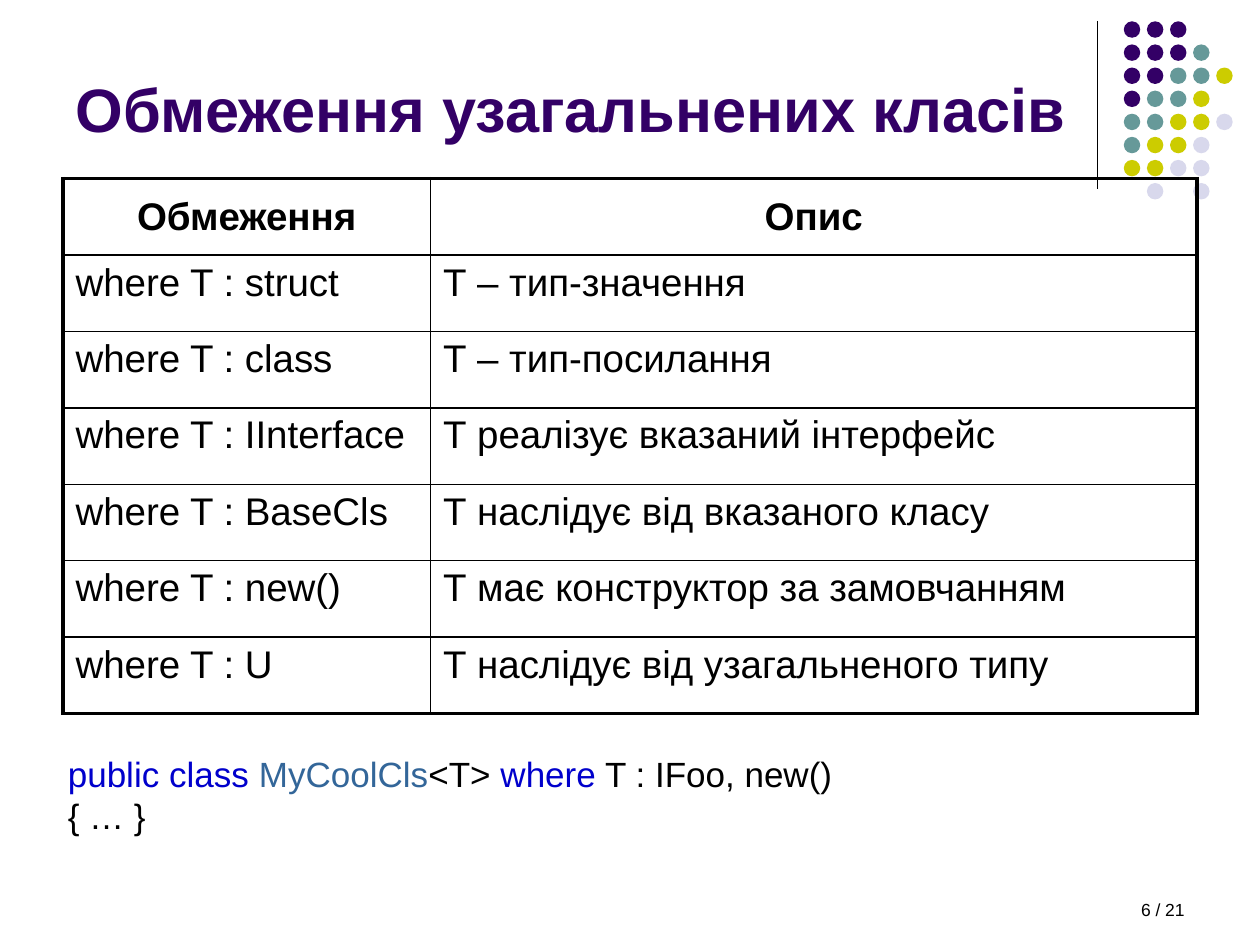
"""Builds a slide on generic class constraints with a table and a code sample."""
from dataclasses import dataclass

import pptx
import pptx.dml.color
import pptx.enum.shapes
import pptx.enum.text
import pptx.oxml
import pptx.oxml.ns
import pptx.util
from lxml import etree

Pt = pptx.util.Pt
RGBColor = pptx.dml.color.RGBColor
Align = pptx.enum.text.PP_ALIGN
Anchor = pptx.enum.text.MSO_ANCHOR

BLACK = RGBColor(0x00, 0x00, 0x00)
PURPLE = RGBColor(0x33, 0x00, 0x66)
TEAL = RGBColor(0x66, 0x99, 0x99)
OLIVE = RGBColor(0xCC, 0xCC, 0x00)
LAVENDER = RGBColor(0xD8, 0xD8, 0xEC)
KEYWORD_BLUE = RGBColor(0x00, 0x00, 0xCC)
TYPE_BLUE = RGBColor(0x33, 0x66, 0x99)

FONT = "Arial"
THICK, THIN = 2.25, 1
DOT_COLORS = {"P": PURPLE, "T": TEAL, "O": OLIVE, "L": LAVENDER}
DOT_ROWS = ("PPP", "PPPT", "PPTTO", "PTTO", "TTOOL", "TOOL", "OOLL", ".L.L")
DOT_LEFT, DOT_TOP, DOT_SIZE, DOT_PITCH = 642.2, 12.2, 9.4, 13.2

CONSTRAINTS = (
    ("Обмеження", "Опис"),
    ("where T : struct", "Т – тип-значення"),
    ("where T : class", "Т – тип-посилання"),
    ("where T : IInterface", "Т реалізує вказаний інтерфейс"),
    ("where T : BaseCls", "Т наслідує від вказаного класу"),
    ("where T : new()", "Т має конструктор за замовчанням"),
    ("where T : U", "Т наслідує від узагальненого типу"),
)
COLUMN_WIDTHS = (210, 438)
ROW_HEIGHT = 43.7


@dataclass(frozen=True)
class Span:
    """A coloured piece of text, optionally starting a new line."""

    text: str
    color: RGBColor = BLACK
    new_line: bool = False


@dataclass(frozen=True)
class TextBlock:
    """A one-paragraph text box."""

    left: float
    top: float
    width: float
    height: float
    size: float
    spans: tuple[Span, ...]
    bold: bool = False
    align: Align = Align.LEFT
    anchor: Anchor = Anchor.TOP


TEXT_BLOCKS = (
    TextBlock(36, 24, 594, 62.4, 35, (Span("Обмеження узагальнених класів", PURPLE),),
              bold=True, anchor=Anchor.BOTTOM),
    TextBlock(31.7, 426.5, 652.3, 55.4, 20, (
        Span("public class ", KEYWORD_BLUE),
        Span("MyCoolCls", TYPE_BLUE),
        Span("<T> "),
        Span("where", KEYWORD_BLUE),
        Span(" T : IFoo, new()"),
        Span("{ … }", new_line=True),
    )),
    TextBlock(516, 510, 168, 18, 10, (Span("6 / 21"),), align=Align.RIGHT),
)


def draw_divider(page: pptx.slide.Slide) -> None:
    """Draw the vertical line beside the dots."""
    line = page.shapes.add_connector(
        pptx.enum.shapes.MSO_CONNECTOR.STRAIGHT, Pt(627), Pt(12), Pt(627), Pt(108))
    line.line.color.rgb = BLACK
    line.line.width = Pt(0.75)
    etree.SubElement(line._element.spPr, pptx.oxml.ns.qn("a:effectLst"))


def draw_dots(page: pptx.slide.Slide) -> None:
    """Draw the dot pattern in the top right corner."""
    for row, codes in enumerate(DOT_ROWS):
        for column, code in enumerate(codes):
            if code not in DOT_COLORS:
                continue
            dot = page.shapes.add_shape(
                pptx.enum.shapes.MSO_SHAPE.OVAL,
                Pt(DOT_LEFT + column * DOT_PITCH), Pt(DOT_TOP + row * DOT_PITCH),
                Pt(DOT_SIZE), Pt(DOT_SIZE))
            dot.shadow.inherit = False
            dot.fill.solid()
            dot.fill.fore_color.rgb = DOT_COLORS[code]
            dot.line.fill.background()


def draw_text(page: pptx.slide.Slide, block: TextBlock) -> None:
    """Draw one text box."""
    box = page.shapes.add_textbox(
        Pt(block.left), Pt(block.top), Pt(block.width), Pt(block.height))
    frame = box.text_frame
    frame.word_wrap = True
    frame.vertical_anchor = block.anchor
    para = frame.paragraphs[0]
    para.alignment = block.align
    para.font.name = FONT
    para.font.size = Pt(block.size)
    para.font.bold = block.bold
    for span in block.spans:
        if span.new_line:
            para.add_line_break()
        run = para.add_run()
        run.text = span.text
        run.font.color.rgb = span.color


def set_borders(cell: pptx.table._Cell, widths: dict[str, float]) -> None:
    """Give a cell black borders, placed ahead of its fill."""
    properties = cell._tc.get_or_add_tcPr()
    for index, (side, width) in enumerate(widths.items()):
        border = pptx.oxml.parse_xml(
            f'<a:ln{side} {pptx.oxml.ns.nsdecls("a")} w="{Pt(width)}">'
            f'<a:solidFill><a:srgbClr val="{BLACK}"/></a:solidFill></a:ln{side}>')
        properties.insert(index, border)


def draw_table(page: pptx.slide.Slide) -> None:
    """Draw the constraints table with a thick outer frame."""
    last_row, last_column = len(CONSTRAINTS) - 1, len(COLUMN_WIDTHS) - 1
    table = page.shapes.add_table(
        len(CONSTRAINTS), len(COLUMN_WIDTHS), Pt(36), Pt(102),
        Pt(sum(COLUMN_WIDTHS)), Pt(ROW_HEIGHT * len(CONSTRAINTS))).table
    table.horz_banding = False
    for column, width in zip(table.columns, COLUMN_WIDTHS):
        column.width = Pt(width)
    for row, texts in enumerate(CONSTRAINTS):
        table.rows[row].height = Pt(ROW_HEIGHT)
        header = row == 0
        for column, text in enumerate(texts):
            cell = table.cell(row, column)
            cell.fill.background()
            cell.vertical_anchor = Anchor.MIDDLE if header else Anchor.TOP
            set_borders(cell, {
                "L": THICK if column == 0 else THIN,
                "R": THICK if column == last_column else THIN,
                "T": THICK if header else THIN,
                "B": THICK if row == last_row else THIN,
            })
            para = cell.text_frame.paragraphs[0]
            para.text = text
            para.alignment = Align.CENTER if header else Align.LEFT
            para.font.name = FONT
            para.font.size = Pt(22)
            para.font.bold = header
            para.font.color.rgb = BLACK


def main() -> None:
    """Build and save the deck."""
    deck = pptx.Presentation()
    deck.slide_width, deck.slide_height = Pt(720), Pt(540)
    page = deck.slides.add_slide(deck.slide_layouts[6])
    draw_divider(page)
    draw_dots(page)
    draw_table(page)
    for block in TEXT_BLOCKS:
        draw_text(page, block)
    deck.save("out.pptx")


main()
